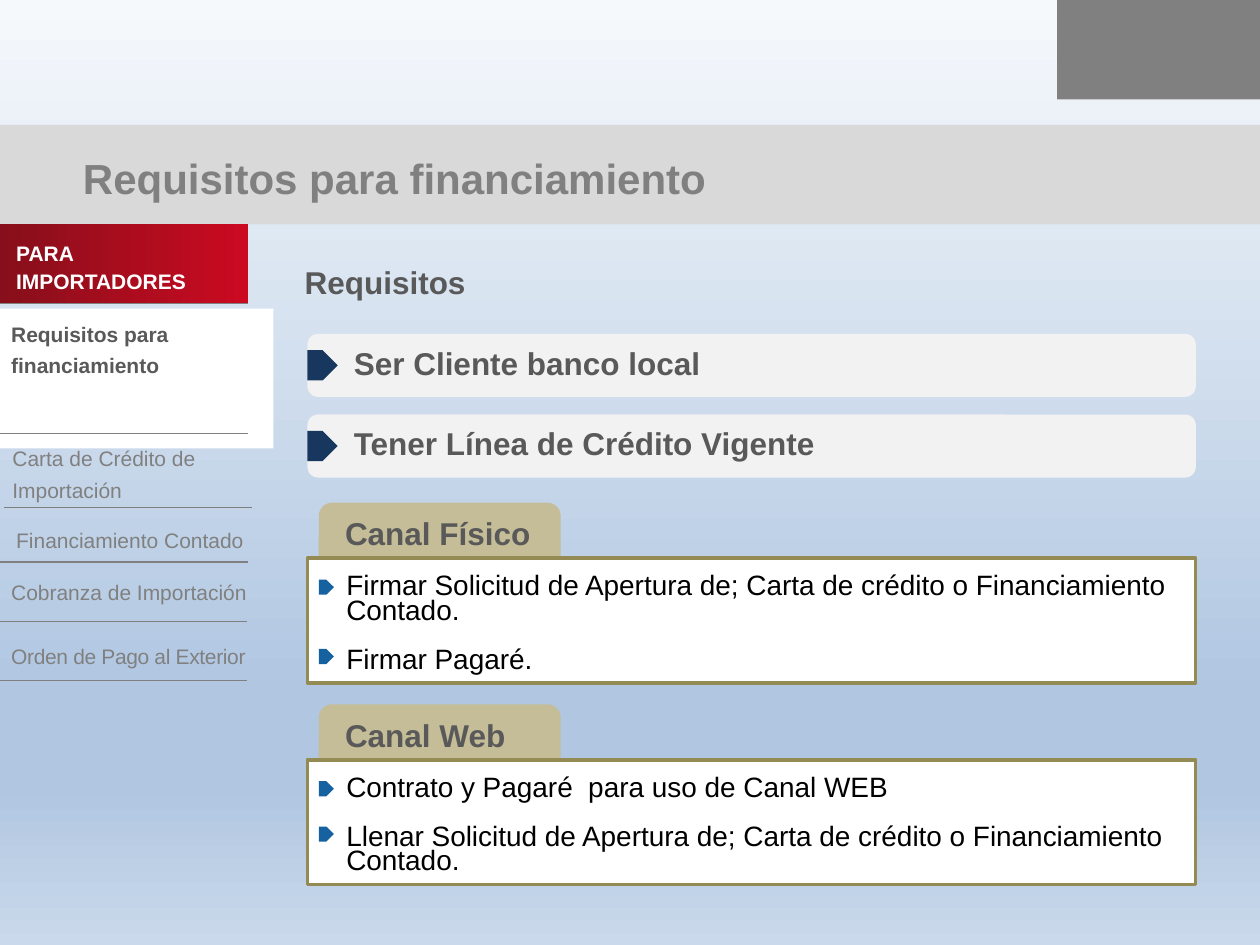
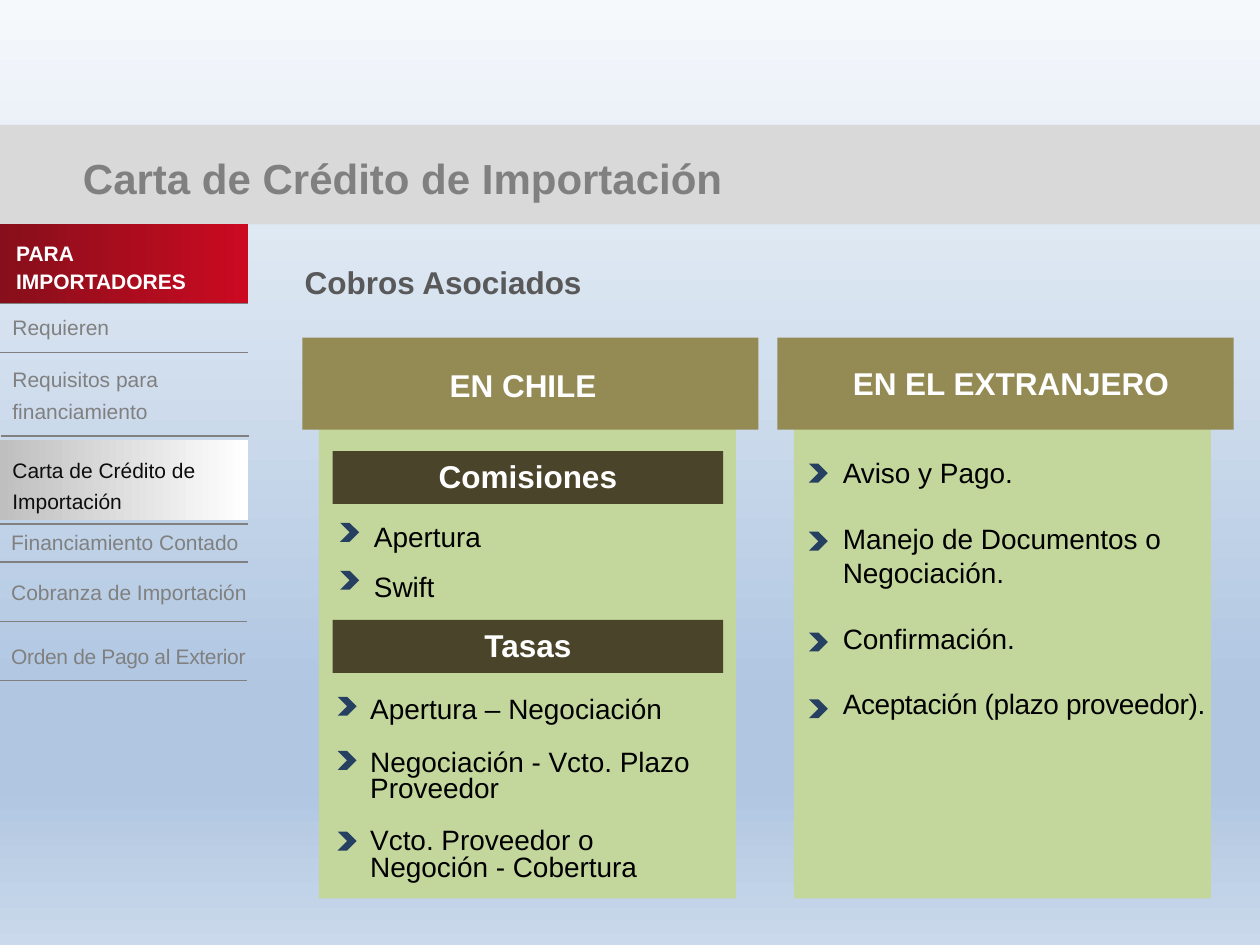
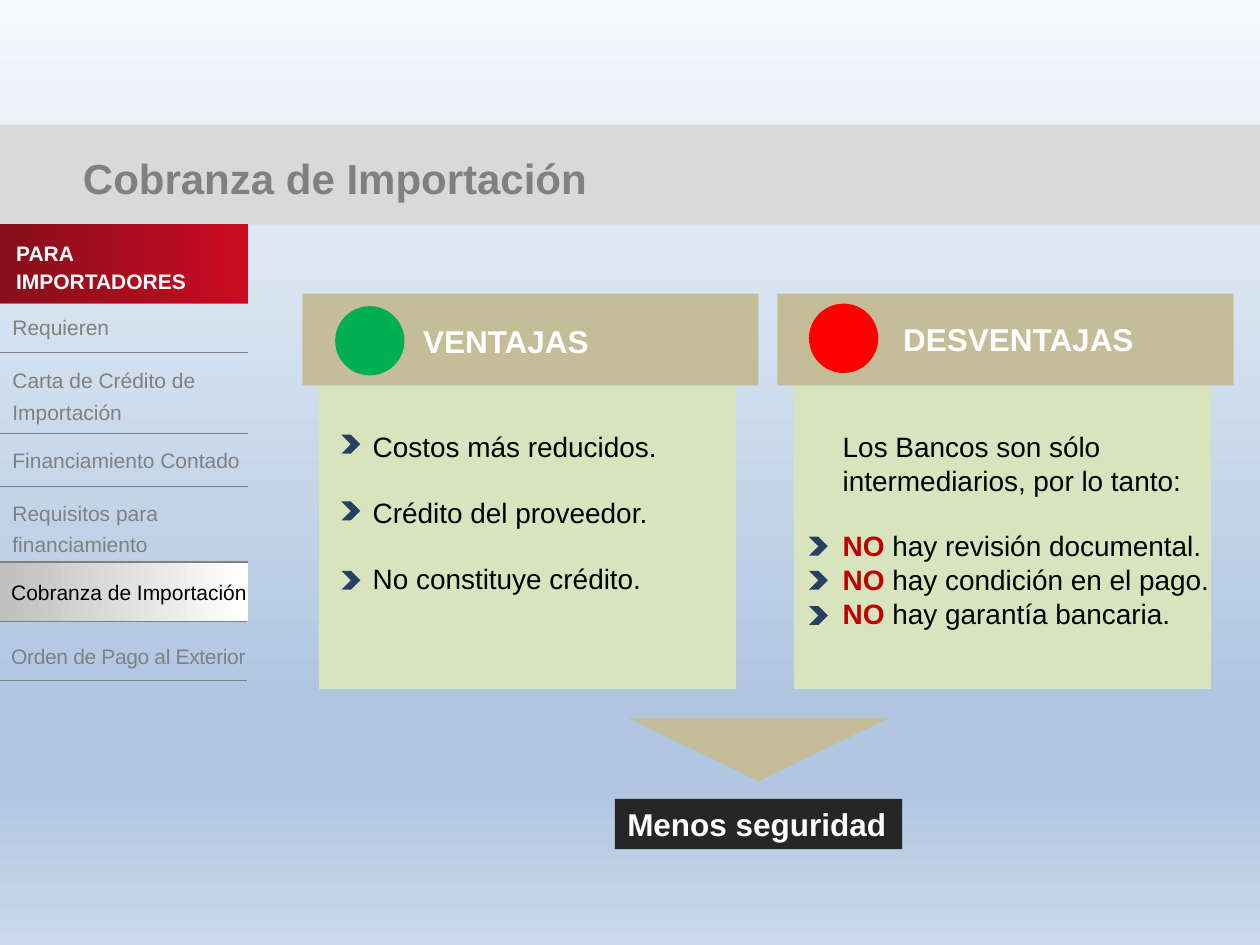
import itertools

import pptx
import pptx.dml.color
import pptx.enum.shapes
import pptx.enum.text
import pptx.oxml
import pptx.oxml.ns
import pptx.util
from lxml import etree

Inches = pptx.util.Inches
Pt = pptx.util.Pt
qn = pptx.oxml.ns.qn
SHAPES = pptx.enum.shapes.MSO_SHAPE
CENTER = pptx.enum.text.PP_ALIGN.CENTER

COLORS = {
    "white": "FFFFFF", "black": "000000", "near_black": "0D0D0D",
    "gray": "808080", "dark_gray": "595959", "band": "D9D9D9",
    "pale": "F2F2F2", "tan": "C4BD97", "olive": "948A54",
    "dark_olive": "4A452A", "green": "C3D69B", "light_green": "D7E4BD",
    "navy": "17375E", "blue": "1661A0", "chevron": "254061",
    "advantage": "00B050", "drawback": "FF0000", "no": "C00000",
    "conclusion": "262626",
}
BACKGROUND = [(0, "F6F9FC"), (74, "B0C6E1"), (83, "B0C6E1"), (100, "CAD9EB")]
RED_FADE = [(0, "870F1B"), (100, "CB0A21")]
GRAY_FADE = [(0, "BFBFBF"), (100, "FFFFFF")]

HEADING = {"size": Pt(18), "bold": True}
BODY = {"size": Pt(16), "bold": False}
MENU = {"size": Pt(12), "bold": False}
BLANK_LINE = 18.4  # height in points of one 16 pt line

REQUIREMENTS = "Requisitos para financiamiento"
CREDIT_LETTER = "Carta de Crédito de Importación"
CASH_FINANCING = "Financiamiento Contado"
COLLECTION = "Cobranza de Importación"
PAYMENT_ORDER = "Orden de Pago al Exterior"
REQUIRED_BY = "Requieren"


def rgb(name):
    return pptx.dml.color.RGBColor.from_string(COLORS[name])


def set_attributes(target, values):
    for name, value in values.items():
        setattr(target, name, value)


def paint_gradient(fill, element, stops, angle):
    """Fill with stops of (percent, hex); the angle runs clockwise."""
    fill.gradient()
    gradient = next(element.iter(qn("a:gradFill")))
    stop_list = gradient.find(qn("a:gsLst"))
    for stop in list(stop_list):
        stop_list.remove(stop)
    for percent, color in stops:
        stop = etree.SubElement(stop_list, qn("a:gs"), pos=str(percent * 1000))
        etree.SubElement(stop, qn("a:srgbClr"), val=color)
    gradient.find(qn("a:lin")).set("ang", str(angle * 60000))


def add_box(slide, kind, left, top, width, height, fill, outline=None):
    """Add a preset shape; fill is a colour name or a list of stops."""
    shape = slide.shapes.add_shape(
        kind, Inches(left), Inches(top), Inches(width), Inches(height))
    shape.shadow.inherit = False
    if isinstance(fill, str):
        shape.fill.solid()
        shape.fill.fore_color.rgb = rgb(fill)
    else:
        paint_gradient(shape.fill, shape._element, fill, 0)
    if outline:
        shape.line.color.rgb = rgb(outline)
        shape.line.width = Pt(2)
    else:
        shape.line.fill.background()
    return shape


def write(shape, paragraphs, color, font, layout=None, gaps=(), tracking=None):
    """Write paragraphs, each a string or a list of (text, font, colour) runs.

    gaps holds the points before the second paragraph and those after it;
    tracking is the letter spacing of the last paragraph.
    """
    frame = shape.text_frame
    frame.word_wrap = True
    frame.vertical_anchor = pptx.enum.text.MSO_ANCHOR.TOP
    spaces = itertools.chain([0], gaps, itertools.repeat(0))
    for index, (content, space) in enumerate(zip(paragraphs, spaces)):
        paragraph = frame.add_paragraph() if index else frame.paragraphs[0]
        set_attributes(paragraph, {
            "alignment": pptx.enum.text.PP_ALIGN.LEFT,
            "space_before": Pt(space), **(layout or {})})
        runs = [(content, font, color)] if isinstance(content, str) else content
        for text, run_font, run_color in runs:
            run = paragraph.add_run()
            run.text = text
            set_attributes(run.font, {"name": "Arial", **run_font})
            run.font.color.rgb = rgb(run_color)
    if tracking is not None:
        run.font._element.set("spc", str(round(tracking * 100)))


def add_text(slide, left, top, width, height, paragraphs, color, font, **options):
    text_box = slide.shapes.add_textbox(
        Inches(left), Inches(top), Inches(width), Inches(height))
    write(text_box, paragraphs, color, font, **options)


def add_rule(slide, left, top):
    connector = slide.shapes.add_connector(
        pptx.enum.shapes.MSO_CONNECTOR.STRAIGHT,
        Inches(left), Inches(top), Inches(left + 1.97), Inches(top))
    connector.line.color.rgb = rgb("gray")
    connector.line.width = Pt(0.75)
    etree.SubElement(connector._element.spPr, qn("a:effectLst"))


def add_markers(slide, kind, left, tops, size, color):
    for top in tops:
        add_box(slide, kind, left, top, size, size, color)


def add_slide(presentation, title):
    """Start a slide with the background and title band that all share."""
    slide = presentation.slides.add_slide(presentation.slide_layouts[6])
    paint_gradient(slide.background.fill, slide._element, BACKGROUND, 90)
    add_box(slide, SHAPES.RECTANGLE, 0, 0.99, 10, 0.79, "band")
    add_text(slide, 0.56, 1.16, 9.18, 0.5, [title], "gray",
             {"size": Pt(24), "bold": True})
    return slide


def add_menu(slide, active, highlight, active_color, active_font, items):
    """Add the side menu.

    highlight is (left, top, width, height, fill); items are
    (label, left, top, line points, rule left, rule top).
    """
    add_box(slide, SHAPES.RECTANGLE, 0, 1.78, 1.97, 0.63, RED_FADE)
    add_text(slide, 0.03, 1.92, 1.94, 0.49, ["PARA", "IMPORTADORES"], "white",
             {"size": Pt(12), "bold": True},
             layout={"line_spacing": Pt(10)}, gaps=[6])
    add_rule(slide, 0, 2.41)
    add_box(slide, SHAPES.RECTANGLE, *highlight)
    shared_items = [(COLLECTION, -0.01, 4.5, 18, -0.01, 4.93),
                    (PAYMENT_ORDER, -0.01, 5.01, 18, -0.01, 5.4)]
    for label, left, top, points, rule_left, rule_top in items + shared_items:
        is_active = label == active
        add_text(slide, left, top, 2.18, 0.3 if points == 14 else 0.58, [label],
                 active_color if is_active else "gray",
                 active_font if is_active else MENU,
                 layout={"line_spacing": Pt(points)},
                 tracking=-0.2 if label == PAYMENT_ORDER else None)
        add_rule(slide, rule_left, rule_top)


def add_section_heading(slide, text):
    add_text(slide, 2.32, 2.04, 4, 0.4, [text], "dark_gray", HEADING)


def add_requirement(slide, left, top, text):
    add_box(slide, SHAPES.ROUNDED_RECTANGLE, left, top, 7.05, 0.5, "pale")
    add_markers(slide, SHAPES.PENTAGON, left, [top + 0.13], 0.24, "navy")
    add_text(slide, left + 0.27, top + 0.03, 4.1, 0.4, [text], "dark_gray", HEADING)


def add_channel(slide, left, top, title, paragraphs, marker_offsets):
    """Add a tab with a framed list below it."""
    add_box(slide, SHAPES.ROUNDED_RECTANGLE, left + 0.09, top, 1.92, 0.63, "tan")
    add_box(slide, SHAPES.RECTANGLE, left, top + 0.44, 7.05, 0.99, "white", "olive")
    add_text(slide, left + 0.2, top + 0.04, 1.8, 0.4, [title], "dark_gray", HEADING)
    add_text(slide, left + 0.21, top + 0.54, 7.09, 0.89, paragraphs, "black", BODY,
             layout={"line_spacing": Pt(14)}, gaps=[14])
    add_markers(slide, SHAPES.PENTAGON, left + 0.09,
                [top + offset for offset in marker_offsets], 0.12, "blue")


def add_column(slide, left, top, body_height, title, title_offset, head, body):
    """Add a titled panel; title_offset is measured from its corner."""
    add_box(slide, SHAPES.RECTANGLE, left + 0.13, top + 0.58, 3.31, body_height, body)
    add_box(slide, SHAPES.RECTANGLE, left, top, 3.62, 0.73, head)
    across, down = title_offset
    add_text(slide, left + across, top + down, 2.74, 0.4, [title], "white", HEADING)


def add_list(slide, left, top, width, height, paragraphs, marker_left,
             marker_offsets, **options):
    """Add a text list with chevrons placed down from its top."""
    add_text(slide, left, top, width, height, paragraphs, "black", BODY, **options)
    add_markers(slide, SHAPES.CHEVRON, left + marker_left,
                [top + offset for offset in marker_offsets], 0.15, "chevron")


def add_subheading(slide, left, top, text):
    shape = add_box(slide, SHAPES.RECTANGLE, left, top, 3.1, 0.42, "dark_olive")
    write(shape, [text], "white", HEADING, layout={"alignment": CENTER})


def build_requirements(presentation):
    slide = add_slide(presentation, REQUIREMENTS)
    add_box(slide, SHAPES.RECTANGLE, 8.39, -0.01, 1.61, 0.8, "gray")
    add_menu(slide, REQUIREMENTS, (-0.01, 2.45, 2.18, 1.11, "white"),
             "dark_gray", {**MENU, "bold": True}, [
                 (REQUIREMENTS, -0.01, 2.45, 18, 0, 3.44),
                 (CREDIT_LETTER, 0, 3.44, 18, 0.03, 4.03),
                 (CASH_FINANCING, 0.03, 4.14, 14, 0, 4.46)])
    add_section_heading(slide, "Requisitos")
    add_requirement(slide, 2.44, 2.65, "Ser Cliente banco local")
    add_requirement(slide, 2.44, 3.29, "Tener Línea de Crédito Vigente")
    application = ("Solicitud de Apertura de; Carta de crédito o "
                   "Financiamiento Contado.")
    add_channel(slide, 2.44, 3.99, "Canal Físico",
                [f"Firmar {application}", "Firmar Pagaré."], [0.61, 1.16])
    add_channel(slide, 2.44, 5.59, "Canal Web",
                ["Contrato y Pagaré  para uso de Canal WEB",
                 f"Llenar {application}"], [0.61, 0.97])


def build_credit_letter(presentation):
    slide = add_slide(presentation, CREDIT_LETTER)
    add_menu(slide, CREDIT_LETTER, (0, 3.49, 1.97, 0.64, GRAY_FADE),
             "near_black", MENU, [
                 (REQUIRED_BY, 0, 2.45, 14, 0, 2.8),
                 (REQUIREMENTS, 0, 2.81, 18, 0.01, 3.46),
                 (CREDIT_LETTER, 0, 3.53, 18, 0, 4.16),
                 (CASH_FINANCING, -0.01, 4.16, 14, 0, 4.46)])
    add_section_heading(slide, "Cobros Asociados")
    add_column(slide, 2.4, 2.68, 3.87, "EN CHILE", (1.07, 0.18), "olive", "green")
    add_subheading(slide, 2.64, 3.58, "Comisiones")
    add_list(slide, 2.87, 3.94, 3.16, 0.91, ["Apertura", "Swift"],
             -0.17, [0.21, 0.59], layout={"line_spacing": 1.5})
    add_subheading(slide, 2.64, 4.92, "Tasas")
    add_list(slide, 2.84, 5.5, 2.9, 1.57,
             ["Apertura – Negociación", "Negociación - Vcto. Plazo Proveedor",
              "Vcto. Proveedor o Negoción - Cobertura"],
             -0.16, [0.03, 0.46, 1.1],
             layout={"line_spacing": Pt(15)}, gaps=[15, 15])
    add_column(slide, 6.17, 2.68, 3.87, "EN EL EXTRANJERO", (0.5, 0.16),
               "olive", "green")
    add_list(slide, 6.59, 3.57, 3.21, 2.26,
             ["Aviso y Pago.", "Manejo de Documentos o Negociación.",
              "Confirmación.", "Aceptación (plazo proveedor)."],
             -0.17, [0.11, 0.65, 1.45, 1.98], gaps=[BLANK_LINE] * 3, tracking=-0.2)


def build_collection(presentation):
    slide = add_slide(presentation, COLLECTION)
    add_menu(slide, COLLECTION, (0, 4.46, 1.97, 0.47, GRAY_FADE), "black", MENU, [
        (REQUIRED_BY, 0, 2.45, 14, 0, 2.8),
        (CREDIT_LETTER, 0, 2.82, 18, 0, 3.44),
        (CASH_FINANCING, 0, 3.51, 14, 0, 3.86),
        (REQUIREMENTS, 0, 3.87, 18, 0, 4.46)])
    add_column(slide, 2.4, 2.33, 2.56, "VENTAJAS", (0.86, 0.18), "tan", "light_green")
    add_box(slide, SHAPES.OVAL, 2.66, 2.43, 0.55, 0.55, "advantage")
    add_list(slide, 2.86, 3.36, 3.16, 1.45,
             ["Costos más reducidos.", "Crédito del proveedor.",
              "No constituye crédito."],
             -0.15, [0.09, 0.62, 1.17], gaps=[BLANK_LINE] * 2)
    add_column(slide, 6.17, 2.33, 2.56, "DESVENTAJAS", (0.9, 0.16),
               "tan", "light_green")
    add_box(slide, SHAPES.OVAL, 6.42, 2.41, 0.55, 0.55, "drawback")
    missing = ["revisión documental.", "condición en el pago.", "garantía bancaria."]
    drawbacks = [[("NO", {**BODY, "bold": True}, "no"),
                  (f" hay {item}", BODY, "black")] for item in missing]
    add_list(slide, 6.59, 3.36, 3.14, 1.72,
             ["Los Bancos son sólo intermediarios, por lo tanto:", *drawbacks],
             -0.17, [0.9, 1.17, 1.45], gaps=[BLANK_LINE])
    arrow = add_box(slide, SHAPES.ISOSCELES_TRIANGLE, 4.99, 5.7, 2.06, 0.5, "tan")
    arrow.rotation = 180
    conclusion = add_box(slide, SHAPES.RECTANGLE, 4.88, 6.34, 2.28, 0.4, "conclusion")
    write(conclusion, ["Menos seguridad"], "white", HEADING)


def main():
    presentation = pptx.Presentation()
    presentation.slide_width = Inches(10)
    presentation.slide_height = Inches(7.5)
    build_requirements(presentation)
    build_credit_letter(presentation)
    build_collection(presentation)
    presentation.save("out.pptx")


if __name__ == "__main__":
    main()
